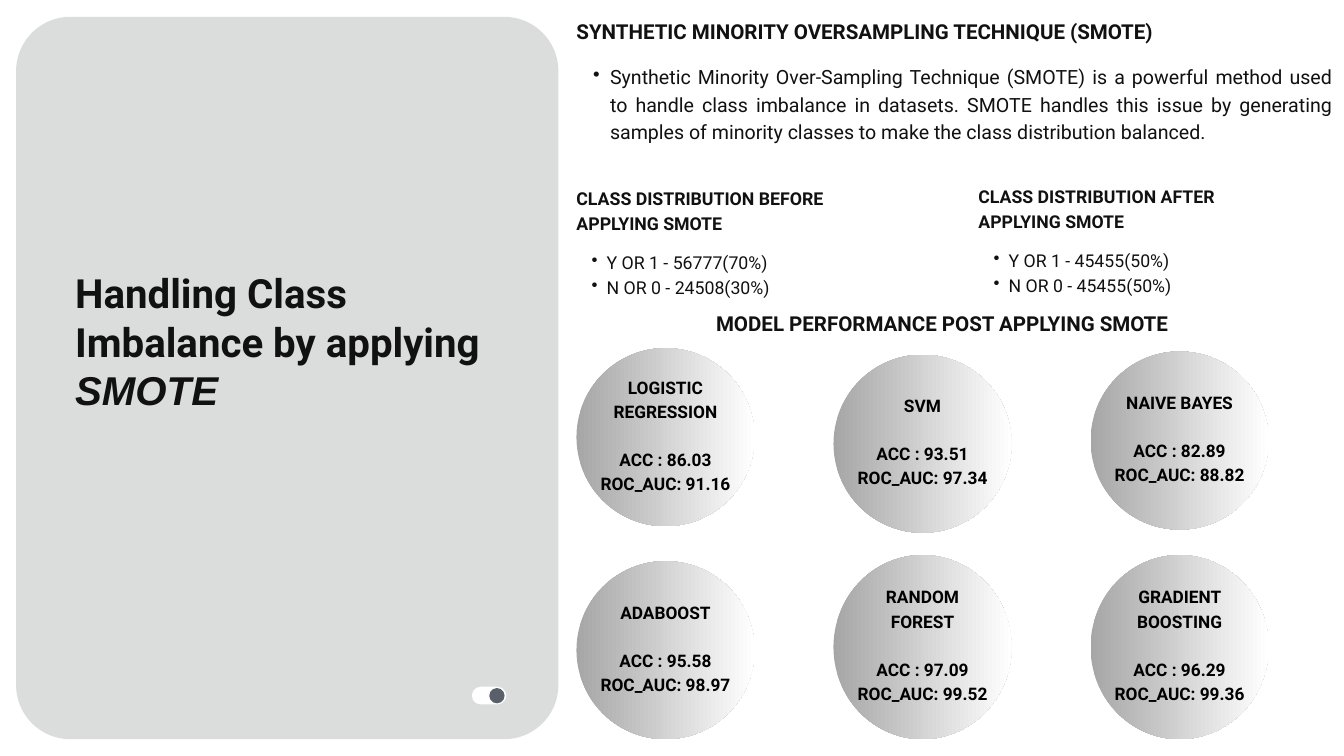
import pptx
import pptx.util
import pptx.dml.color
import pptx.enum.shapes
import pptx.enum.text
import pptx.oxml
import pptx.oxml.ns
import lxml.etree
from dataclasses import dataclass

Pt = pptx.util.Pt
RGB = pptx.dml.color.RGBColor.from_string
SHAPE = pptx.enum.shapes.MSO_SHAPE
ALIGN = pptx.enum.text.PP_ALIGN
ANCHOR = pptx.enum.text.MSO_ANCHOR


@dataclass(frozen=True)
class Theme:
    font: str = "Roboto"
    accent_font: str = "Arial"
    ink: str = "111111"
    black: str = "000000"
    panel: str = "DBDCDC"
    white: str = "FFFFFF"
    knob: str = "59606A"
    shade: str = "A6A6A6"
    title: float = 43.1
    heading: float = 22
    body: float = 21
    before: float = 19
    after: float = 18.9
    score: float = 18.5


theme = Theme()


def add_shape(kind, x, y, w, h, color=None):
    sp = s.shapes.add_shape(kind, Pt(x), Pt(y), Pt(w), Pt(h))
    sp.shadow.inherit = False
    sp.line.fill.background()
    if color:
        sp.fill.solid()
        sp.fill.fore_color.rgb = RGB(color)
    return sp


def add_text(x, y, w, h, lines, size, spacing, bold=False, align=ALIGN.LEFT,
             color=theme.ink, indent=0, inset=0):
    tf = s.shapes.add_textbox(Pt(x), Pt(y), Pt(w), Pt(h)).text_frame
    tf.word_wrap = True
    tf.margin_left = tf.margin_right = tf.margin_top = tf.margin_bottom = Pt(inset)
    tf.text = "\n".join(lines)
    for p in tf.paragraphs:
        p.alignment = align
        p.line_spacing = Pt(spacing)
        if indent:
            p.level = 1
            pPr = p._p.get_or_add_pPr()
            pPr.set("marL", str(Pt(indent)))
            pPr.set("indent", str(-Pt(indent / 2)))
            bullet = lxml.etree.SubElement(pPr, pptx.oxml.ns.qn("a:buChar"))
            bullet.set("char", "•")
        for r in p.runs:
            r.font.name = theme.font
            r.font.size = Pt(size)
            r.font.bold = bold
            r.font.color.rgb = RGB(color)
    return tf


prs = pptx.Presentation()
prs.slide_width, prs.slide_height = Pt(1440), Pt(810)
s = prs.slides.add_slide(prs.slide_layouts[6])

panel = add_shape(SHAPE.ROUNDED_RECTANGLE, 17.3, 18, 581, 774, theme.panel)
panel.adjustments[0] = 0.1
toggle = add_shape(SHAPE.ROUNDED_RECTANGLE, 505.5, 735.8, 37, 19, theme.white)
toggle.adjustments[0] = 0.5
add_shape(SHAPE.OVAL, 524.2, 737.2, 16.4, 16.4, theme.knob)

tf = add_text(80.6, 288, 453, 152, ["Handling Class Imbalance by applying "],
              theme.title, 51.7, bold=True)
r = tf.paragraphs[0].add_run()
r.text = "SMOTE"
r.font.name = theme.accent_font
r.font.size = Pt(theme.title)
r.font.bold = r.font.italic = True
r.font.color.rgb = RGB(theme.ink)

left = 617.6
add_text(left, 15.8, 810, 29, ["SYNTHETIC MINORITY OVERSAMPLING TECHNIQUE (SMOTE)"],
         theme.heading, 30.8, bold=True)
add_text(left, 65.5, 810, 116,
         ["Synthetic Minority Over-Sampling Technique (SMOTE) is a powerful method used "
          "to handle class imbalance in datasets. SMOTE handles this issue by generating "
          "samples of minority classes to make the class distribution balanced."],
         theme.body, 29.4, align=ALIGN.JUSTIFY, indent=36)

distributions = [
    (left, 197.3, 289.4, theme.before, 26.6, "BEFORE",
     ["Y OR 1 - 56777(70%)", "N OR 0 - 24508(30%)"]),
    (1048.3, 195.8, 310.3, theme.after, 26.5, "AFTER",
     ["Y OR 1 - 45455(50%)", "N OR 0 - 45455(50%)"]),
]
for x, y, w, size, spacing, stage, counts in distributions:
    add_text(x, y, w, 51, [f"CLASS DISTRIBUTION {stage} APPLYING SMOTE"],
             size, spacing, bold=True)
    add_text(x, y + 68.4, w, 51, counts, size, spacing, align=ALIGN.JUSTIFY, indent=32.4)

add_text(left, 329, 783.4, 29.5, ["MODEL PERFORMANCE POST APPLYING SMOTE"],
         theme.heading, 30.8, bold=True, align=ALIGN.CENTER)

diameter, pitch, leading = 190.8, 275.4, 25.8
models = [
    (0, 373, diameter, "LOGISTIC REGRESSION", "86.03", "91.16"),
    (1, 380, diameter, "SVM", "93.51", "97.34"),
    (2, 376.6, diameter, "NAIVE BAYES", "82.89", "88.82"),
    (0, 601.2, diameter, "ADABOOST", "95.58", "98.97"),
    (1, 594.7, 197.3, "RANDOM FOREST", "97.09", "99.52"),
    (2, 594.7, 197.3, "GRADIENT BOOSTING", "96.29", "99.36"),
]
for col, y, h, name, acc, auc in models:
    x = left + col * pitch
    circle = add_shape(SHAPE.OVAL, x, y, diameter, h)
    circle.fill.gradient()
    circle.fill.gradient_angle = 0
    for stop, color in zip(circle.fill.gradient_stops, (theme.shade, theme.white)):
        stop.color.rgb = RGB(color)
    tf = add_text(x + 17.9, y + 11.2, 155, h - 30,
                  [name, f"ACC : {acc}", f"ROC_AUC: {auc}"], theme.score, leading,
                  bold=True, align=ALIGN.CENTER, color=theme.black, inset=4)
    tf.vertical_anchor = ANCHOR.MIDDLE
    tf.paragraphs[1].space_before = Pt(leading)

prs.save("out.pptx")
